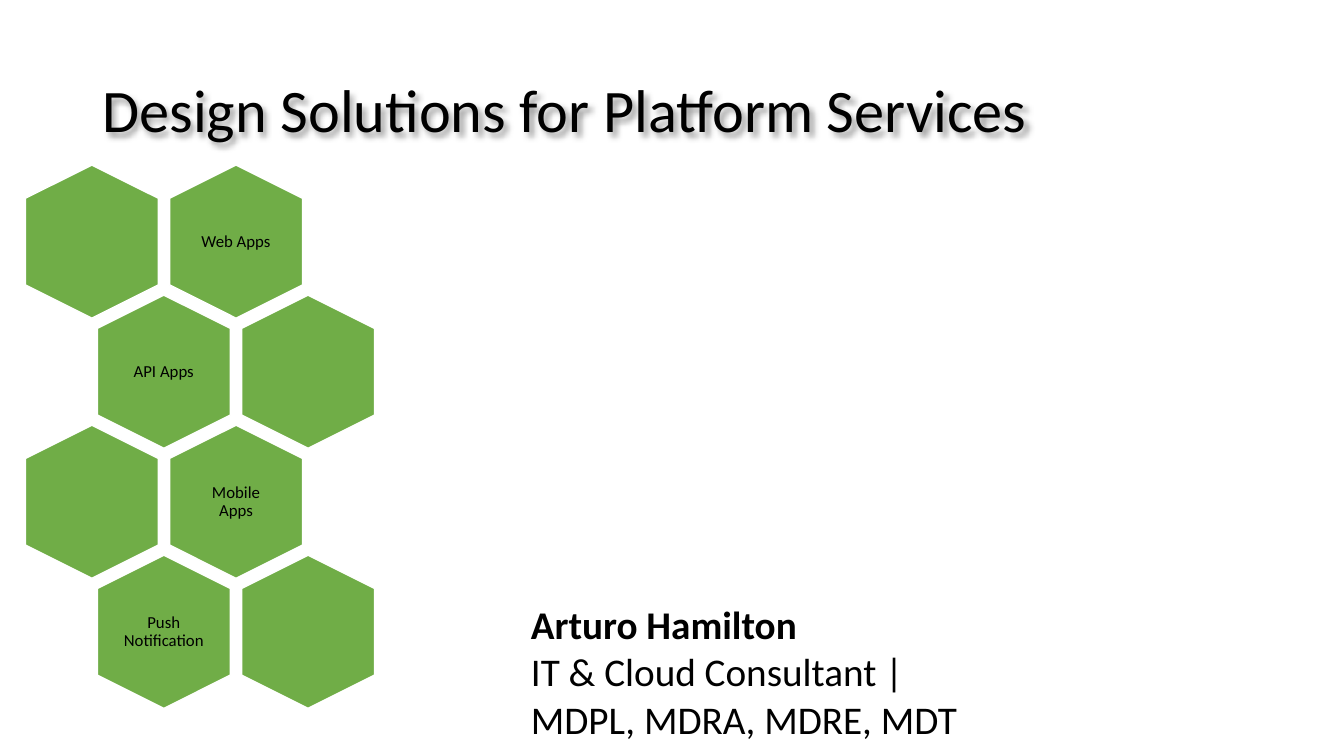
from lxml import etree
from pptx import Presentation
from pptx import util as u
from pptx.dml import color
from pptx.enum import shapes, text
from pptx.oxml import ns

COLORS = {"ink": "000000", "green": "70AD47", "white": "FFFFFF"}
HEXAGON = {"width": 109.4, "height": 95}
LABEL = {"width": 65.5, "height": 75.6}
FIRST_CENTER = (65.6, 172.6)
COLUMN_STEP, ROW_STEP, ROW_SHIFT = 103, 92.9, 51.4
ROWS = [["", "Web Apps"], ["API Apps", ""], ["", "Mobile Apps"], ["Push Notification", ""]]


def rgb(name):
    return color.RGBColor.from_string(COLORS[name])


def apply(target, values):
    for name, value in values.items():
        setattr(target, name, value)


def write(para, words, size, bold=False):
    span = para.add_run()
    span.text = words
    apply(span.font, {"name": "Calibri", "size": u.Pt(size), "bold": bold})
    span.font.color.rgb = rgb("ink")


def add_soft_shadow(shape):
    effects = etree.SubElement(shape._element.spPr, ns.qn("a:effectLst"))
    shadow = etree.SubElement(effects, ns.qn("a:outerShdw"), blurRad="50800",
                              dist="38100", dir="2700000", algn="tl", rotWithShape="0")
    tint = etree.SubElement(shadow, ns.qn("a:srgbClr"), val=COLORS["ink"])
    etree.SubElement(tint, ns.qn("a:alpha"), val="40000")


def set_title(page, words):
    title = page.shapes.title
    apply(title, {"left": u.Pt(66), "top": u.Pt(28.8), "width": u.Pt(828), "height": u.Pt(104.4)})
    title.fill.background()
    add_soft_shadow(title)
    apply(title.text_frame, {"vertical_anchor": text.MSO_ANCHOR.MIDDLE, "word_wrap": True,
                             "auto_size": text.MSO_AUTO_SIZE.NONE})
    para = title.text_frame.paragraphs[0]
    apply(para, {"alignment": text.PP_ALIGN.LEFT, "line_spacing": 0.9})
    write(para, words, 43.1)


def centered(center, size):
    x, y = center
    width, height = size["width"], size["height"]
    return [u.Pt(value) for value in (x - width / 2, y - height / 2, width, height)]


def add_hexagon(page, center):
    hexagon = page.shapes.add_shape(shapes.MSO_SHAPE.HEXAGON, *centered(center, HEXAGON))
    hexagon.rotation = 90
    hexagon.adjustments[0] = 0.25
    hexagon.shadow.inherit = False
    hexagon.fill.solid()
    hexagon.fill.fore_color.rgb = rgb("green")
    hexagon.line.color.rgb = rgb("white")
    hexagon.line.width = u.Pt(1)


def add_label(page, center, words):
    frame = page.shapes.add_textbox(*centered(center, LABEL)).text_frame
    apply(frame, {"word_wrap": True, "vertical_anchor": text.MSO_ANCHOR.MIDDLE})
    apply(frame, {f"margin_{side}": u.Pt(3.6) for side in ("left", "top", "right", "bottom")})
    para = frame.paragraphs[0]
    apply(para, {"alignment": text.PP_ALIGN.CENTER, "line_spacing": 0.9})
    write(para, words, 12)


def add_honeycomb(page):
    left, top = FIRST_CENTER
    for row, labels in enumerate(ROWS):
        for column, words in enumerate(labels):
            center = (left + column * COLUMN_STEP + row % 2 * ROW_SHIFT, top + row * ROW_STEP)
            add_hexagon(page, center)
            if words:
                add_label(page, center, words)


def add_presenter(page, name, role):
    box = page.shapes.add_textbox(u.Pt(372.2), u.Pt(425.5), u.Pt(340.6), u.Pt(108.7))
    frame = box.text_frame
    apply(frame, {"word_wrap": True, "auto_size": text.MSO_AUTO_SIZE.SHAPE_TO_FIT_TEXT})
    write(frame.paragraphs[0], name, 28, bold=True)
    write(frame.add_paragraph(), role, 28)


def main():
    deck = Presentation()
    apply(deck, {"slide_width": u.Pt(960), "slide_height": u.Pt(540)})
    page = deck.slides.add_slide(deck.slide_layouts.get_by_name("Title Only"))
    set_title(page, "Design Solutions for Platform Services")
    add_honeycomb(page)
    add_presenter(page, "Arturo Hamilton", "IT & Cloud Consultant | MDPL, MDRA, MDRE, MDT")
    deck.save("out.pptx")


main()
